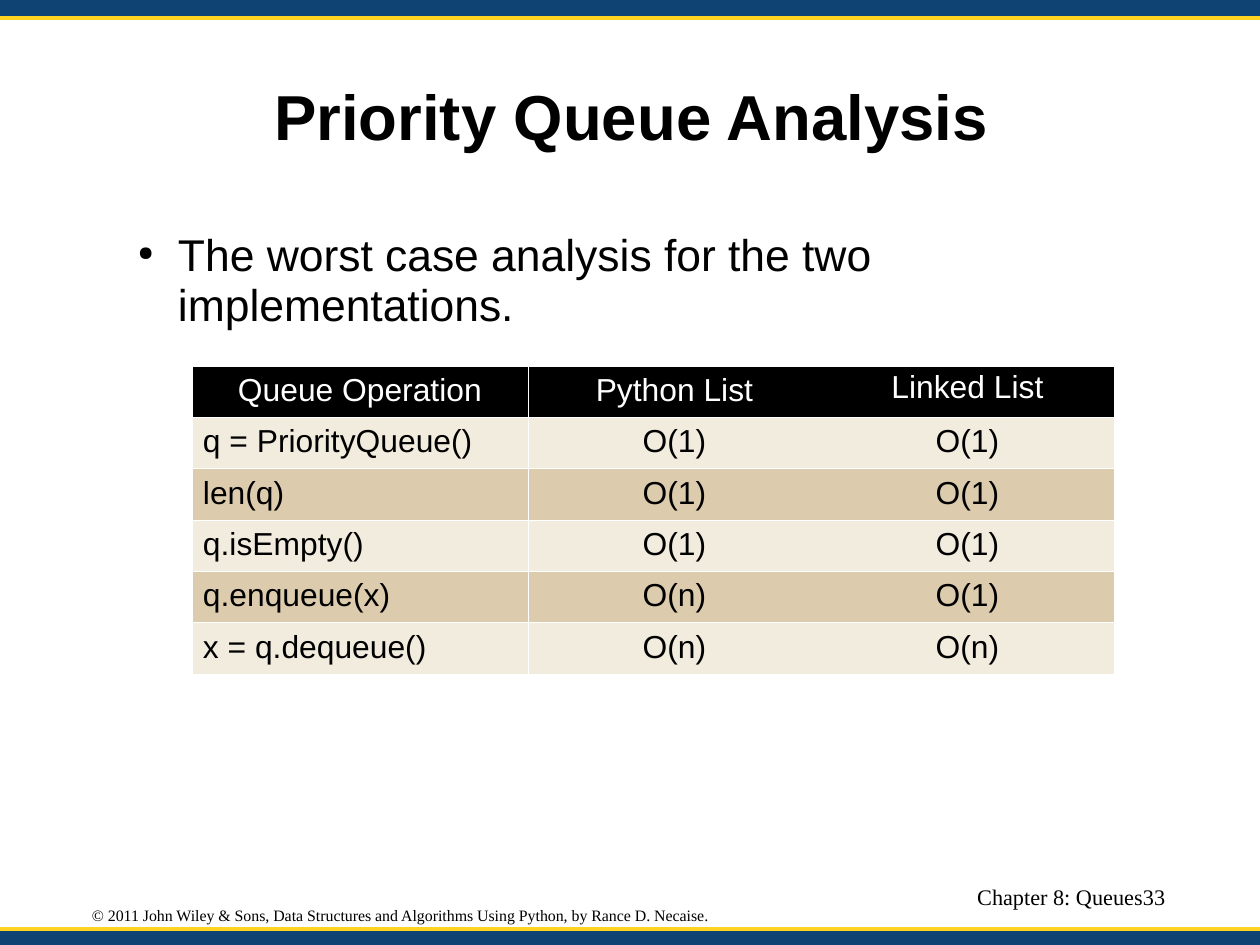
from lxml import etree
from pptx import Presentation
from pptx.dml.color import RGBColor
from pptx.enum import shapes, text
from pptx.oxml import ns
from pptx.util import Pt

SCALE = 8000
HUES = {"navy": "0F4374", "gold": "FFD320", "black": "000000",
        "white": "FFFFFF", "cream": "F2ECDE", "tan": "DCCBAC"}
LEFT, MID, RIGHT = text.PP_ALIGN.LEFT, text.PP_ALIGN.CENTER, text.PP_ALIGN.RIGHT
TOP, CORE = text.MSO_ANCHOR.TOP, text.MSO_ANCHOR.MIDDLE
SANS, SERIF = "Arial", "Times New Roman"
COLS = (336, 293, 293)
ROWS = (
    ("Queue Operation", "Python List", "Linked List"),
    ("q = PriorityQueue()", "O(1)", "O(1)"),
    ("len(q)", "O(1)", "O(1)"),
    ("q.isEmpty()", "O(1)", "O(1)"),
    ("q.enqueue(x)", "O(n)", "O(1)"),
    ("x = q.dequeue()", "O(n)", "O(n)"),
)


def px(*sizes):
    """Turn pixel lengths into EMU."""
    return [size * SCALE for size in sizes]


def hue(name):
    """Look up a colour by name."""
    return RGBColor.from_string(HUES[name])


def node(parent, tag, **attrs):
    """Append a drawing element with attributes."""
    return etree.SubElement(parent, ns.qn(tag), attrs)


def style(para, size, face=SANS, color="black", align=LEFT, bold=False):
    """Format a paragraph and its runs."""
    para.alignment = align
    para.line_spacing = 0.93
    for run in para.runs:
        run.font.size = Pt(size)
        run.font.name = face
        run.font.bold = bold
        run.font.color.rgb = hue(color)


def band(slide, top):
    """Draw a navy band across the slide."""
    bar = slide.shapes.add_shape(
        shapes.MSO_SHAPE.RECTANGLE, *px(0, top, 1260, 18))
    bar.shadow.inherit = False
    bar.fill.solid()
    bar.fill.fore_color.rgb = hue("navy")
    bar.line.fill.background()


def rule(slide, y):
    """Draw a gold line across the slide."""
    line = slide.shapes.add_connector(
        shapes.MSO_CONNECTOR.STRAIGHT, *px(0, y, 1260, y))
    line.line.color.rgb = hue("gold")
    line.line.width = Pt(2)
    node(line._element.spPr, "a:effectLst")


def label(slide, box, words, size, inset=0, anchor=TOP, wrap=True, **look):
    """Add a text box and return its paragraph."""
    frame = slide.shapes.add_textbox(*px(*box)).text_frame
    frame.margin_left = frame.margin_right = frame.margin_bottom = 0
    frame.margin_top = px(inset)[0]
    frame.vertical_anchor = anchor
    frame.word_wrap = wrap
    frame.text = words
    para = frame.paragraphs[0]
    style(para, size, **look)
    return para


def bullet(para):
    """Give a paragraph a small round bullet and hanging indent."""
    para.space_after = Pt(14.3)
    props = para._p.get_or_add_pPr()
    indent, hang = px(54, -40)
    props.set("marL", str(indent))
    props.set("indent", str(hang))
    node(node(props, "a:buClr"), "a:srgbClr", val=HUES["black"])
    node(props, "a:buSzPct", val="45000")
    node(props, "a:buChar", char="●")


def edge(cell, col):
    """Set the cell borders, leaving out the line between the last columns."""
    props = cell._tc.get_or_add_tcPr()
    drawn = {"L": col < 2, "R": col != 1, "T": True, "B": True}
    for side, shown in drawn.items():
        line = node(props, f"a:ln{side}", w=str(Pt(0.28)))
        if shown:
            fill = node(line, "a:solidFill")
            node(fill, "a:srgbClr", val=HUES["white"])
        else:
            node(line, "a:noFill")


def fill(cell, words, row, col):
    """Write and colour one table cell."""
    head = row == 0
    edge(cell, col)
    cell.fill.solid()
    shade = "black" if head else ("tan", "cream")[row % 2]
    cell.fill.fore_color.rgb = hue(shade)
    side = 5 if head and col == 1 else 11
    cell.margin_left, cell.margin_right = px(side, side)
    cell.margin_top, cell.margin_bottom = px(6, 6)
    cell.vertical_anchor = TOP if head and col == 2 else CORE
    cell.text_frame.text = words
    style(cell.text_frame.paragraphs[0], 20,
          color="white" if head else "black",
          align=MID if head or col else LEFT)


def grid(slide):
    """Add the table of operation costs."""
    table = slide.shapes.add_table(
        len(ROWS), len(COLS), *px(192, 366, sum(COLS), 308)).table
    table.first_row = table.horz_banding = False
    for column, width in zip(table.columns, COLS):
        column.width = px(width)[0]
    for row, cells in enumerate(ROWS):
        for col, words in enumerate(cells):
            fill(table.cell(row, col), words, row, col)


def main():
    """Build and save the slide."""
    deck = Presentation()
    deck.slide_width, deck.slide_height = px(1260, 945)
    slide = deck.slides.add_slide(deck.slide_layouts[6])
    for top in (0, 929):
        band(slide, top)
    for y in (18, 929):
        rule(slide, y)
    label(slide, (92, 907, 623, 17),
          "© 2011 John Wiley & Sons, Data Structures and Algorithms "
          "Using Python, by Rance D. Necaise.",
          10, inset=1, anchor=CORE, wrap=False, face=SERIF)
    label(slide, (62, 38, 1138, 158), "Priority Queue Analysis",
          40, inset=5, anchor=CORE, align=MID, bold=True)
    grid(slide)
    bullet(label(slide, (124, 229, 1055, 624),
                 "The worst case analysis for the two implementations.",
                 28, inset=3))
    label(slide, (744, 886, 399, 40), "Chapter 8: Queues",
          14, face=SERIF, align=RIGHT)
    label(slide, (1143, 886, 53, 40), "33", 14, face=SERIF)
    deck.save("out.pptx")


if __name__ == "__main__":
    main()
